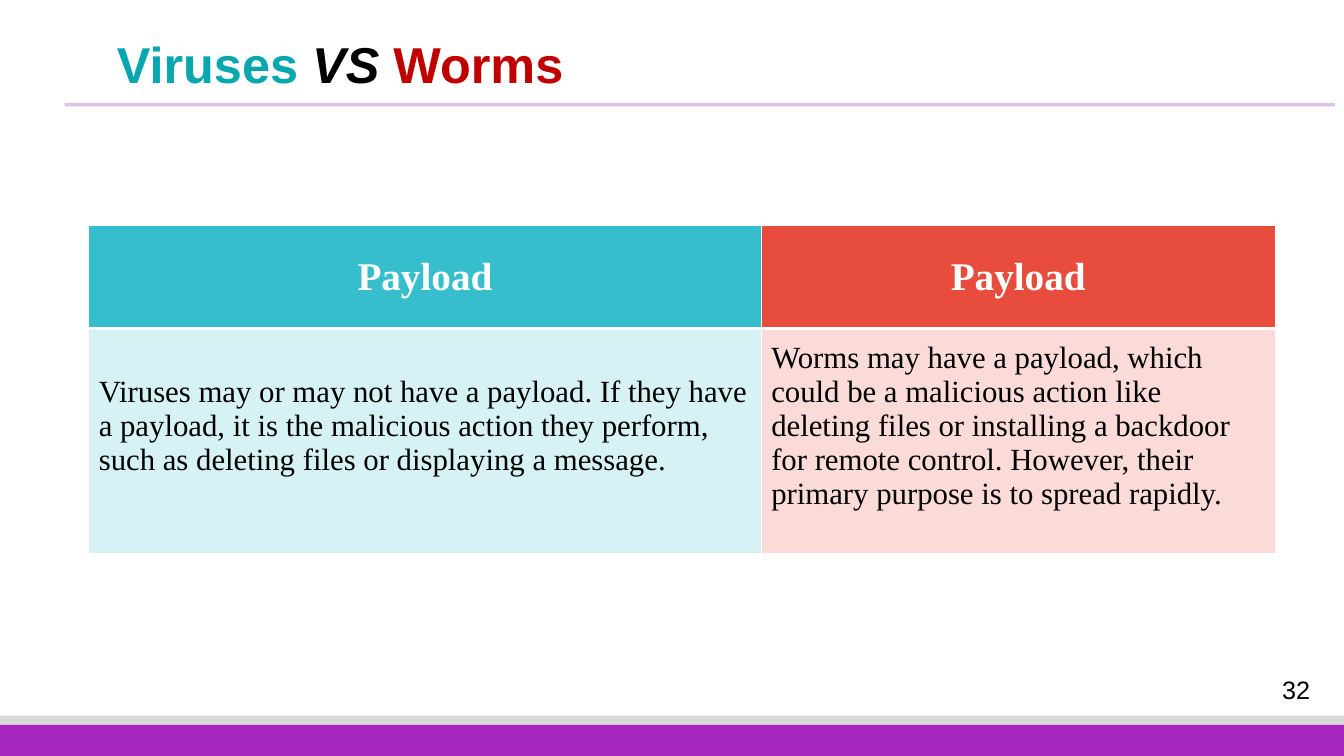
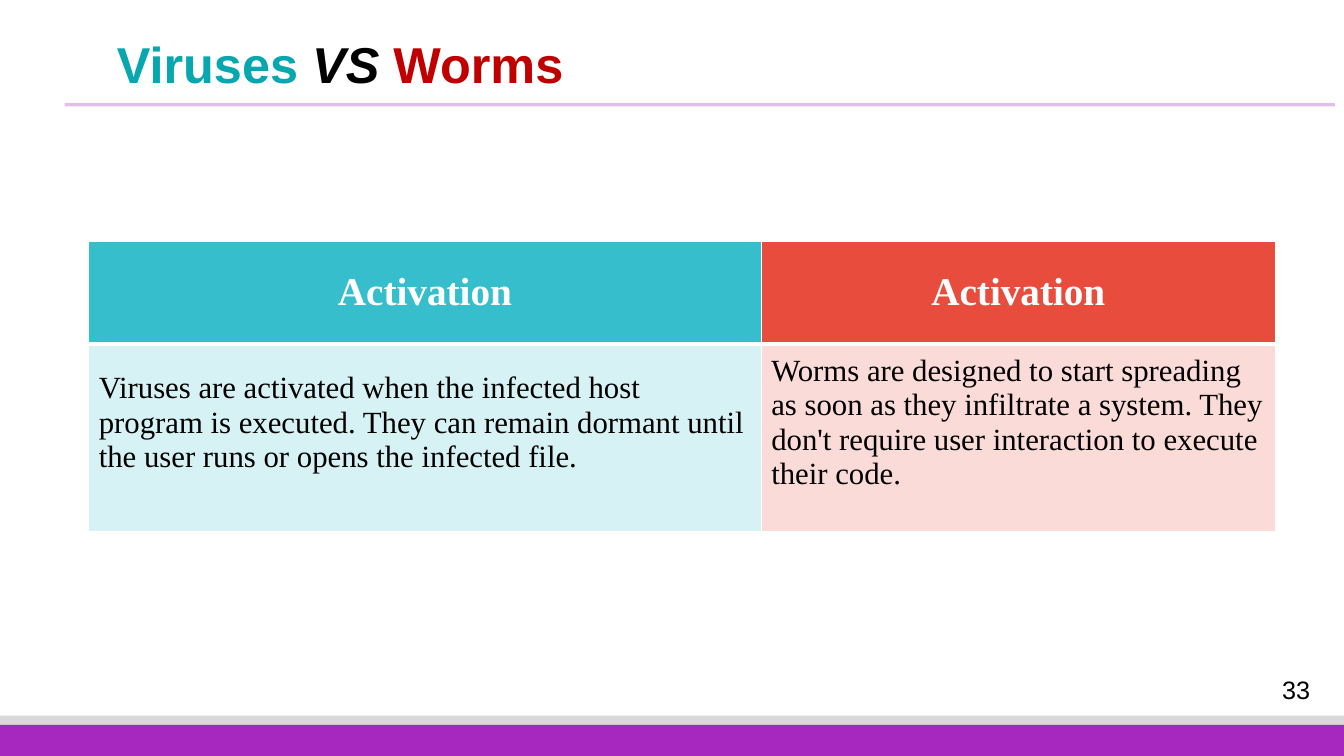
from dataclasses import dataclass

from lxml import etree
from pptx import Presentation
from pptx.dml.color import RGBColor
from pptx.enum.shapes import MSO_CONNECTOR, MSO_SHAPE
from pptx.enum.text import MSO_ANCHOR, MSO_AUTO_SIZE, PP_ALIGN
from pptx.oxml.ns import qn
from pptx.util import Inches, Pt

RECT = MSO_SHAPE.RECTANGLE
LINE = MSO_CONNECTOR.STRAIGHT
TOP, MIDDLE = MSO_ANCHOR.TOP, MSO_ANCHOR.MIDDLE
LEFT, CENTER = PP_ALIGN.LEFT, PP_ALIGN.CENTER
FIXED = MSO_AUTO_SIZE.NONE
TITLE_ONLY = 5


@dataclass(frozen=True)
class Theme:
    sans: str = "Arial"
    serif: str = "Times New Roman"
    title: int = 36
    head: int = 28
    body: int = 22
    number: int = 18
    black: str = "000000"
    white: str = "FFFFFF"
    gray: str = "D9D9D9"
    purple: str = "A728BE"
    teal: str = "07A7AF"
    red: str = "C00000"
    heads: tuple = ("37BECC", "E74C3C")
    tints: tuple = ("D7F2F5", "FADBD8")


THEME = Theme()
WIDTH, HEIGHT = 13.33, 7.5
TITLE_BOX = (1.06, 0.35, 11.37, 0.48)
NUMBER_BOX = (12.4, 6.64, 0.91, 0.39)
RULE = (0.64, 1.04, 12.6)
BANDS = ((0.4, THEME.gray), (0.31, THEME.purple))
COLUMNS = (6.67, 5.1)
INSETS = (0.12, 0.1)
BOTTOM = 0.35
HEAD_ROW = 1.02
TABLE_LEFT = 0.88

SLIDES = (
    (32, 2.24, 2.13, "Payload", (
        "Viruses may or may not have a payload. If they have a payload, it is the "
        "malicious action they perform, such as deleting files or displaying a message.",
        "Worms may have a payload, which could be a malicious action like deleting "
        "files or installing a backdoor for remote control. However, their primary "
        "purpose is to spread rapidly.")),
    (33, 2.39, 1.79, "Activation", (
        "Viruses are activated when the infected host program is executed. They can "
        "remain dormant until the user runs or opens the infected file.",
        "Worms are designed to start spreading as soon as they infiltrate a system. "
        "They don't require user interaction to execute their code.")),
)


def color(code):
    return RGBColor.from_string(code)


def inches(box):
    return [Inches(side) for side in box]


def style(para, face, size, tone=None, bold=False, align=LEFT):
    para.alignment = align
    font = para.font
    font.name, font.size, font.bold = face, Pt(size), bold
    if tone:
        font.color.rgb = color(tone)


def add_bands(slide):
    for tall, tone in BANDS:
        band = slide.shapes.add_shape(RECT, *inches((0, HEIGHT - tall, WIDTH, tall)))
        band.shadow.inherit = False
        band.fill.solid()
        band.fill.fore_color.rgb = color(tone)
        band.line.fill.background()


def add_rule(slide, left, top, width):
    rule = slide.shapes.add_connector(LINE, *inches((left, top, left + width, top)))
    rule.line.width = Pt(2.25)
    rule.line.color.rgb = color(THEME.purple)
    tone = rule.line._ln.find(".//" + qn("a:srgbClr"))
    etree.SubElement(tone, qn("a:alpha"), val="30000")
    etree.SubElement(rule._element.spPr, qn("a:effectLst"))


def add_number(slide, box, number):
    frame = slide.shapes.add_textbox(*inches(box)).text_frame
    frame.word_wrap = True
    frame.vertical_anchor = MIDDLE
    para = frame.paragraphs[0]
    para.text = str(number)
    style(para, THEME.sans, THEME.number, THEME.black, align=CENTER)


def set_title(slide, box):
    title = slide.shapes.title
    title.left, title.top, title.width, title.height = inches(box)
    frame = title.text_frame
    frame.auto_size = FIXED
    frame.word_wrap = True
    frame.vertical_anchor = TOP
    para = frame.paragraphs[0]
    para.line_spacing = 0.9
    style(para, THEME.sans, THEME.title, bold=True)
    words = (("Viruses ", THEME.teal), ("VS ", THEME.black), ("Worms", THEME.red))
    for text, tone in words:
        run = para.add_run()
        run.text = text
        run.font.color.rgb = color(tone)
        if tone == THEME.black:
            run.font.italic = True


def set_borders(cell, top, bottom):
    props = cell._tc.get_or_add_tcPr()
    for side, points in (("L", 1), ("R", 1), ("T", top), ("B", bottom)):
        edge = etree.SubElement(props, qn("a:ln" + side), w=str(Pt(points)))
        fill = etree.SubElement(edge, qn("a:solidFill"))
        etree.SubElement(fill, qn("a:srgbClr"), val=THEME.white)


def fill_cell(cell, text, fill, edges, **look):
    set_borders(cell, *edges)
    cell.fill.solid()
    cell.fill.fore_color.rgb = color(fill)
    cell.vertical_anchor = MIDDLE
    para = cell.text_frame.paragraphs[0]
    para.text = text
    style(para, THEME.serif, **look)


def add_table(slide, left, top, tall, head, texts):
    rows = (HEAD_ROW, tall)
    box = inches((left, top, sum(COLUMNS), sum(rows)))
    table = slide.shapes.add_table(len(rows), len(COLUMNS), *box).table
    table.horz_banding = False
    for row, size in zip(table.rows, rows):
        row.height = Inches(size)
    for col, (width, text) in enumerate(zip(COLUMNS, texts)):
        table.columns[col].width = Inches(width)
        fill_cell(table.cell(0, col), head, THEME.heads[col], (1, 3),
                  size=THEME.head, tone=THEME.white, bold=True, align=CENTER)
        body = table.cell(1, col)
        fill_cell(body, text, THEME.tints[col], (3, 1),
                  size=THEME.body, tone=THEME.black)
        body.margin_right = Inches(INSETS[col])
        body.margin_bottom = Inches(BOTTOM)


def add_slide(deck, number, top, tall, head, texts):
    slide = deck.slides.add_slide(deck.slide_layouts[TITLE_ONLY])
    add_bands(slide)
    add_rule(slide, *RULE)
    add_number(slide, NUMBER_BOX, number)
    set_title(slide, TITLE_BOX)
    add_table(slide, TABLE_LEFT, top, tall, head, texts)


def main():
    deck = Presentation()
    deck.slide_width, deck.slide_height = inches((WIDTH, HEIGHT))
    for page in SLIDES:
        add_slide(deck, *page)
    deck.save("out.pptx")


if __name__ == "__main__":
    main()
